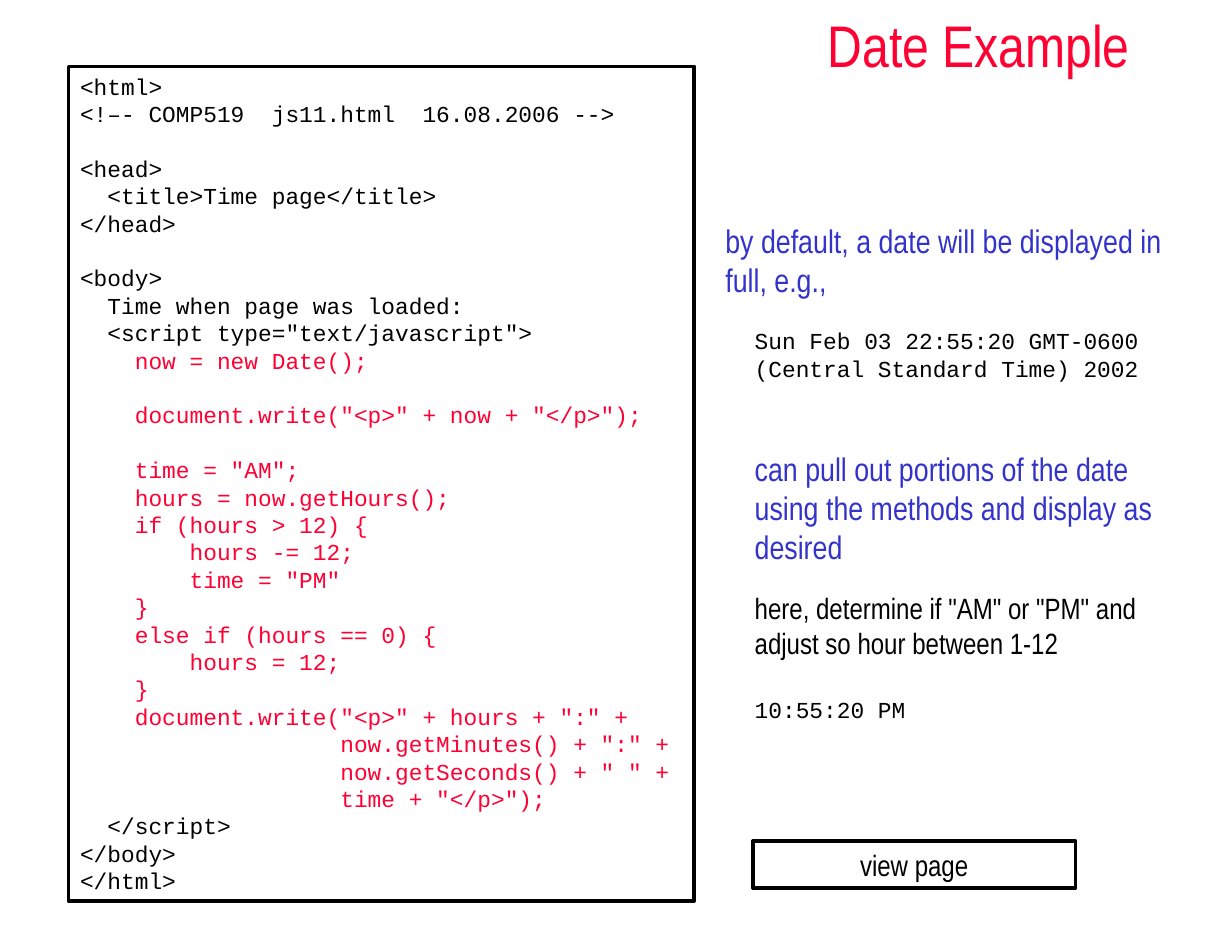
"""Build the Date Example slide: a code listing with explanatory notes."""
from dataclasses import dataclass

from pptx import Presentation
from pptx.dml.color import RGBColor
from pptx.enum.shapes import MSO_SHAPE
from pptx.enum.text import MSO_ANCHOR, PP_ALIGN
from pptx.util import Inches, Pt

RECTANGLE = MSO_SHAPE.RECTANGLE
TOP, MIDDLE = MSO_ANCHOR.TOP, MSO_ANCHOR.MIDDLE
LEFT, CENTER = PP_ALIGN.LEFT, PP_ALIGN.CENTER

COLUMNS, ROWS = 126, 96
CELL = Inches(1) / 12
NOTE_INDENT = 3

OPENING_CODE = """\
<html>
<!–- COMP519  js11.html  16.08.2006 -->

<head>
  <title>Time page</title>
</head>

<body>
  Time when page was loaded:
  <script type="text/javascript">"""

SCRIPT_CODE = """\
    now = new Date();

    document.write("<p>" + now + "</p>");

    time = "AM";
    hours = now.getHours();
    if (hours > 12) {
        hours -= 12;
        time = "PM"
    }
    else if (hours == 0) {
        hours = 12;
    }
    document.write("<p>" + hours + ":" +
                   now.getMinutes() + ":" +
                   now.getSeconds() + " " +
                   time + "</p>");"""

CLOSING_CODE = """\
  </script>
</body>
</html>"""


@dataclass(frozen=True)
class Style:
    """Font, size and colour of a run."""
    font: str
    size: int
    color: RGBColor


@dataclass(frozen=True)
class Theme:
    """Colours, type styles and line measures of the slide."""
    black = RGBColor(0x00, 0x00, 0x00)
    red = RGBColor(0xFF, 0x00, 0x33)
    blue = RGBColor(0x33, 0x33, 0xCC)
    title = Style("Arial Narrow", 36, red)
    code = Style("Courier New", 14, black)
    script = Style("Courier New", 14, red)
    heading = Style("Arial Narrow", 20, blue)
    body = Style("Arial Narrow", 18, black)
    border = 2.25
    leading = 1.2


THEME = Theme()


def grid(*cells):
    """Convert grid cells to slide lengths."""
    return [round(cell * CELL) for cell in cells]


def prepare_frame(shape, anchor):
    """Make the text of a shape wrap and anchor it."""
    frame = shape.text_frame
    frame.word_wrap = True
    frame.vertical_anchor = anchor
    return frame


def add_text_area(slide, cells, anchor=TOP):
    """Add a plain text box and return its text frame."""
    return prepare_frame(slide.shapes.add_textbox(*grid(*cells)), anchor)


def add_outlined_box(slide, cells, anchor=TOP):
    """Add an unfilled rectangle with a border and return its text frame."""
    shape = slide.shapes.add_shape(RECTANGLE, *grid(*cells))
    shape.shadow.inherit = False
    shape.fill.background()
    shape.line.color.rgb = THEME.black
    shape.line.width = Pt(THEME.border)
    return prepare_frame(shape, anchor)


def add_paragraph(frame, text, style, align=LEFT, before=0, indent=0):
    """Add one styled paragraph, using the first one while it is empty."""
    first = frame.paragraphs[0]
    paragraph = frame.add_paragraph() if first.runs else first
    paragraph.alignment = align
    paragraph.line_spacing = Pt(style.size * THEME.leading)
    paragraph.space_before = Pt(before)
    if indent:
        properties = paragraph._p.get_or_add_pPr()
        properties.set("marL", str(grid(indent)[0]))
        properties.set("indent", "0")
    run = paragraph.add_run()
    run.text = text
    run.font.name = style.font
    run.font.size = Pt(style.size)
    run.font.color.rgb = style.color


def add_code(frame, code, style):
    """Add code line by line, turning empty lines into paragraph spacing."""
    gap = 0
    for line in code.splitlines():
        if line:
            add_paragraph(frame, line, style, before=gap)
            gap = 0
        else:
            gap += style.size * THEME.leading


def add_notes(frame):
    """Add the explanations and sample outputs."""
    notes = [
        ("by default, a date will be displayed in full, e.g.,", THEME.heading, 0, 0),
        ("Sun Feb 03 22:55:20 GMT-0600 (Central Standard Time) 2002",
         THEME.code, 17, NOTE_INDENT),
        ("can pull out portions of the date using the methods and display as desired",
         THEME.heading, 41, NOTE_INDENT),
        ('here, determine if "AM" or "PM" and adjust so hour between 1-12',
         THEME.body, 14.5, NOTE_INDENT),
        ("10:55:20 PM", THEME.code, 22, NOTE_INDENT),
    ]
    for text, style, before, indent in notes:
        add_paragraph(frame, text, style, before=before, indent=indent)


def main():
    """Create and save the presentation."""
    presentation = Presentation()
    presentation.slide_width, presentation.slide_height = grid(COLUMNS, ROWS)
    slide = presentation.slides.add_slide(presentation.slide_layouts[6])

    title = add_text_area(slide, (74.2, 0, 51.8, 9), MIDDLE)
    add_paragraph(title, "Date Example", THEME.title, CENTER)

    listing = add_outlined_box(slide, (7, 6.8, 64, 85.3))
    add_code(listing, OPENING_CODE, THEME.code)
    add_code(listing, SCRIPT_CODE, THEME.script)
    add_code(listing, CLOSING_CODE, THEME.code)

    add_notes(add_text_area(slide, (73, 22, 50, 51.2)))

    button = add_outlined_box(slide, (77, 86, 33, 4.8), MIDDLE)
    add_paragraph(button, "view page", THEME.body, CENTER)

    presentation.save("out.pptx")


if __name__ == "__main__":
    main()
